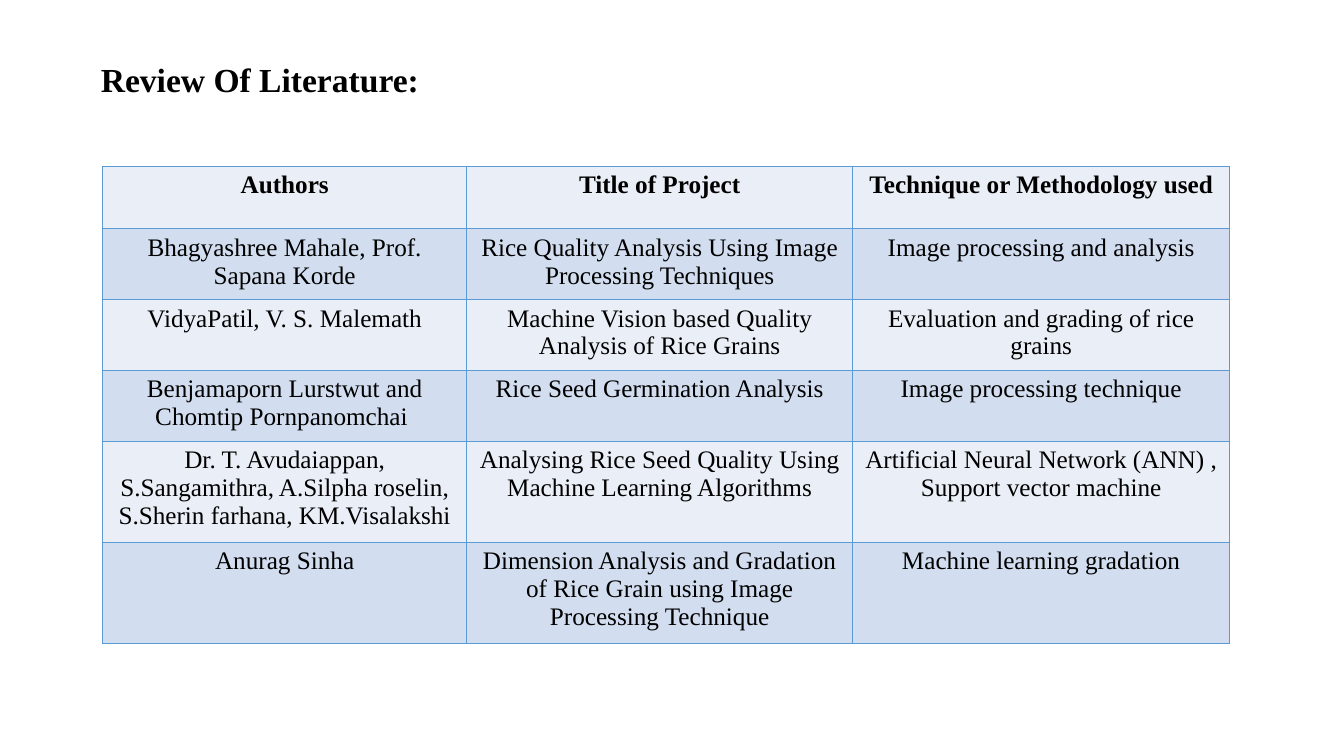
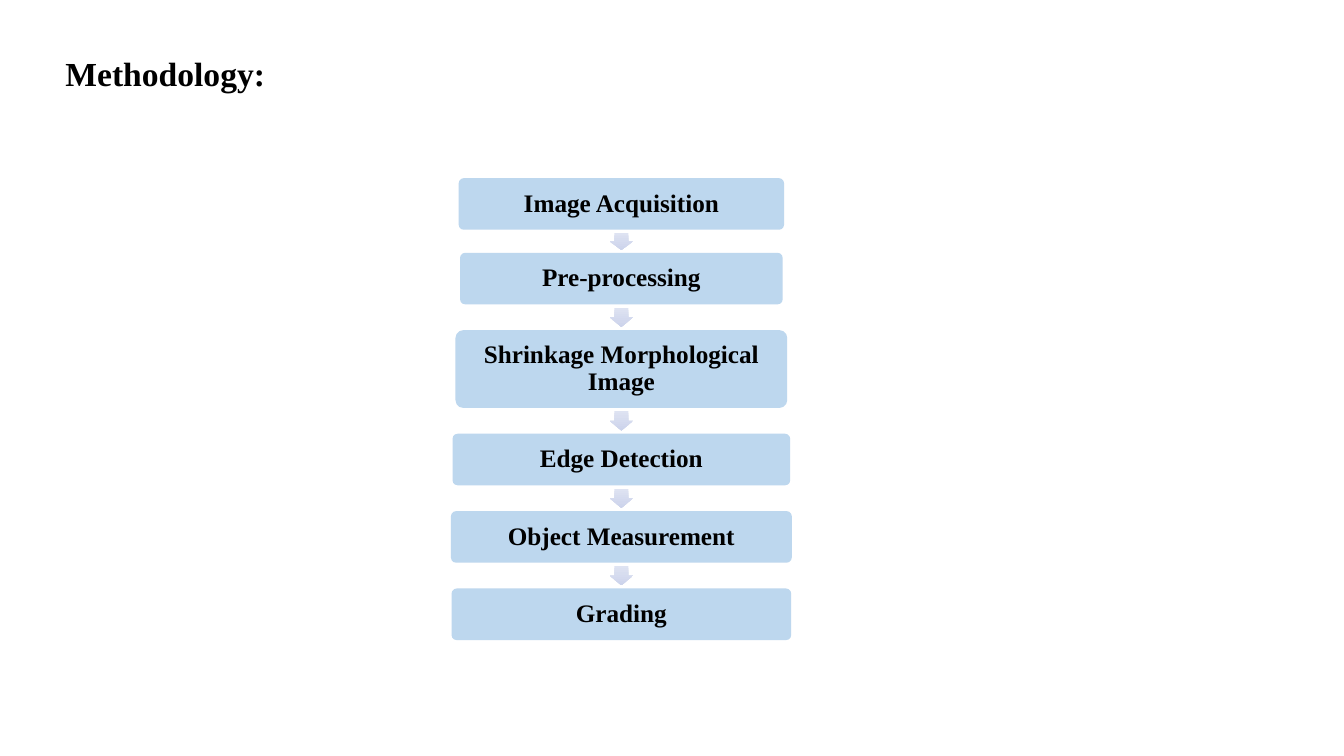
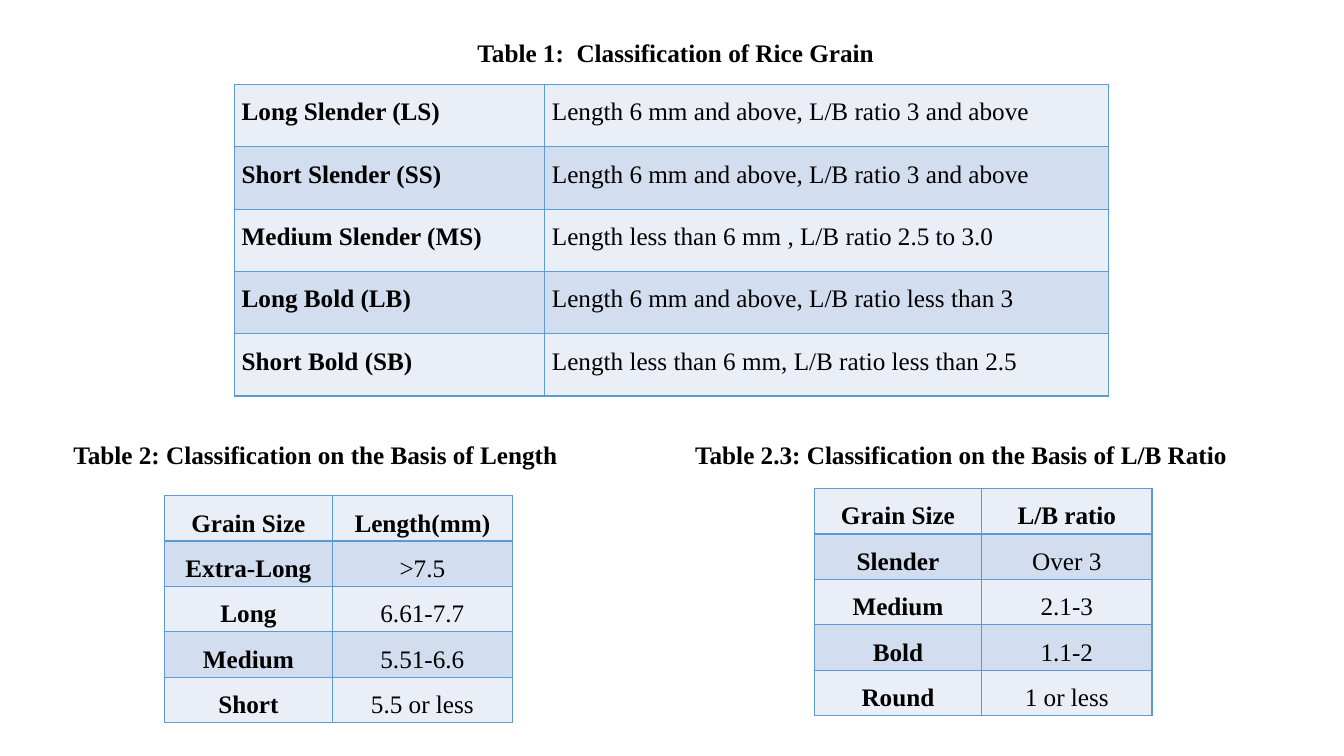
from collections import namedtuple

from lxml.etree import SubElement
from pptx import Presentation
from pptx.dml.color import RGBColor
from pptx.enum.shapes import MSO_SHAPE
from pptx.enum.text import MSO_ANCHOR, PP_ALIGN
from pptx.oxml.ns import qn
from pptx.util import Cm, Pt

BLACK = RGBColor(0x00, 0x00, 0x00)
BORDER = RGBColor(0x5B, 0x9B, 0xD5)
BANDS = (RGBColor(0xEA, 0xEF, 0xF7), RGBColor(0xD2, 0xDE, 0xEF))
STEP_FILL = RGBColor(0xBD, 0xD7, 0xEE)
ARROW_LIGHT = RGBColor(0xDE, 0xE3, 0xF2)
ARROW_DARK = RGBColor(0xCC, 0xD3, 0xEB)

BODY = {"name": "Times New Roman", "size": Pt(18), "bold": False}
STRONG = {**BODY, "bold": True}
TITLE = {**STRONG, "size": Pt(24)}

# Lengths in centimetres
Box = namedtuple("Box", "left top width height")

LITERATURE = (
    ("Authors", "Title of Project", "Technique or Methodology used"),
    ("Bhagyashree Mahale, Prof. Sapana Korde",
     "Rice Quality Analysis Using Image Processing Techniques",
     "Image processing and analysis"),
    ("VidyaPatil, V. S. Malemath",
     "Machine Vision based Quality Analysis of Rice Grains",
     "Evaluation and grading of rice grains"),
    ("Benjamaporn Lurstwut and Chomtip Pornpanomchai ",
     "Rice Seed Germination Analysis",
     "Image processing technique"),
    ("Dr. T. Avudaiappan, S.Sangamithra, A.Silpha roselin, "
     "S.Sherin farhana, KM.Visalakshi",
     "Analysing Rice Seed Quality Using Machine Learning Algorithms",
     "Artificial Neural Network (ANN) , Support vector machine"),
    ("Anurag Sinha",
     "Dimension Analysis and Gradation of Rice Grain using Image "
     "Processing Technique",
     "Machine learning gradation"),
)

# Label, box width, box height, gap above
STEPS = (
    ("Image Acquisition", 8.2, 1.3, 0),
    ("Pre-processing", 8.13, 1.3, 0.58),
    ("Shrinkage Morphological Image", 8.36, 1.96, 0.65),
    ("Edge Detection", 8.51, 1.3, 0.65),
    ("Object Measurement", 8.59, 1.3, 0.65),
    ("Grading", 8.56, 1.3, 0.65),
)

GRAIN_TYPES = (
    ("Long Slender (LS)", "Length 6 mm and above, L/B ratio 3 and above"),
    ("Short Slender (SS)", "Length 6 mm and above, L/B ratio 3 and above"),
    ("Medium Slender (MS)", "Length less than 6 mm , L/B ratio 2.5 to 3.0"),
    ("Long Bold (LB)", "Length 6 mm and above, L/B ratio less than 3"),
    ("Short Bold (SB)", "Length less than 6 mm, L/B ratio less than 2.5"),
)
GRAIN_LENGTHS = (
    ("Grain Size", "Length(mm)"),
    ("Extra-Long", ">7.5"),
    ("Long", "6.61-7.7"),
    ("Medium", "5.51-6.6"),
    ("Short", "5.5 or less"),
)
GRAIN_RATIOS = (
    ("Grain Size", "L/B ratio"),
    ("Slender", "Over 3"),
    ("Medium", "2.1-3"),
    ("Bold", "1.1-2"),
    ("Round", "1 or less"),
)


def write(frame, text, font, align=PP_ALIGN.LEFT, spacing=1.0):
    frame.word_wrap = True
    para = frame.paragraphs[0]
    para.alignment = align
    para.line_spacing = spacing
    span = para.add_run()
    span.text = text
    for name, value in font.items():
        setattr(span.font, name, value)
    span.font.color.rgb = BLACK


def add_text(page, box, text, font, align=PP_ALIGN.LEFT):
    label = page.shapes.add_textbox(*map(Cm, box))
    write(label.text_frame, text, font, align)


def add_borders(cell):
    """Draw the four cell edges, which must precede the fill in the XML."""
    properties = cell._tc.get_or_add_tcPr()
    for position, side in enumerate(("lnL", "lnR", "lnT", "lnB")):
        line = SubElement(properties, qn("a:" + side), w=str(Pt(1)))
        fill = SubElement(line, qn("a:solidFill"))
        SubElement(fill, qn("a:srgbClr"), val=str(BORDER))
        properties.insert(position, line)


def add_banded_table(page, left, top, widths, heights, rows, margins,
                     align=PP_ALIGN.CENTER, spacing=1.0,
                     bold_head=True, bold_names=True):
    """Margins are the side and the top-and-bottom insets of each cell."""
    box = Box(left, top, sum(widths), sum(heights))
    table = page.shapes.add_table(
        len(rows), len(widths), *map(Cm, box)).table
    table.first_row = table.horz_banding = False
    for column, width in zip(table.columns, widths):
        column.width = Cm(width)
    for row, height in zip(table.rows, heights):
        row.height = Cm(height)
    side, edge = map(Cm, margins)
    insets = {"margin_left": side, "margin_right": side,
              "margin_top": edge, "margin_bottom": edge}
    for r, texts in enumerate(rows):
        for c, text in enumerate(texts):
            cell = table.cell(r, c)
            for name, value in insets.items():
                setattr(cell, name, value)
            cell.fill.solid()
            cell.fill.fore_color.rgb = BANDS[r % 2]
            add_borders(cell)
            strong = (bold_head and r == 0) or (bold_names and c == 0)
            write(cell.text_frame, text, STRONG if strong else BODY,
                  align, spacing)


def add_plain_shape(page, kind, box, adjustments):
    shape = page.shapes.add_shape(kind, *map(Cm, box))
    shape.shadow.inherit = False
    shape.line.fill.background()
    for index, value in enumerate(adjustments):
        shape.adjustments[index] = value
    return shape


def add_step(page, box, label):
    step = add_plain_shape(page, MSO_SHAPE.ROUNDED_RECTANGLE, box, (0.1,))
    step.fill.solid()
    step.fill.fore_color.rgb = STEP_FILL
    frame = step.text_frame
    frame.vertical_anchor = MSO_ANCHOR.MIDDLE
    write(frame, label, STRONG, PP_ALIGN.CENTER, 0.9)


def add_step_arrow(page, center, top, gap):
    """Centre a down arrow in the gap that starts at top."""
    width, height = 0.59, gap * 0.75
    box = Box(center - width / 2, top + (gap - height) / 2, width, height)
    arrow = add_plain_shape(page, MSO_SHAPE.DOWN_ARROW, box, (0.6, 0.5))
    arrow.fill.gradient()
    arrow.fill.gradient_angle = 270
    for stop, color in zip(arrow.fill.gradient_stops,
                           (ARROW_LIGHT, ARROW_DARK)):
        stop.color.rgb = color


def add_flow(page, center, top):
    for label, width, height, gap in STEPS:
        if gap:
            add_step_arrow(page, center, top, gap)
        top += gap
        add_step(page, Box(center - width / 2, top, width, height), label)
        top += height


def literature_slide(page):
    add_text(page, Box(2.29, 1.35, 27.23, 1.2), "Review Of Literature:", TITLE)
    add_banded_table(page, 2.59, 4.19, (9.17, 9.73, 9.5),
                     (1.57, 1.78, 1.78, 1.78, 2.55, 2.55), LITERATURE,
                     (0.25, 0.13), bold_names=False)


def methodology_slide(page):
    add_text(page, Box(1.4, 1.2, 30.28, 1.2), "Methodology:", TITLE)
    add_flow(page, 15.66, 4.49)


def classification_slide(page):
    add_text(page, Box(1.27, 0.81, 31.52, 1.02),
             "Table 1:  Classification of Rice Grain", STRONG,
             PP_ALIGN.CENTER)
    tight = {"margins": (0.19, 0), "spacing": 1.5}
    add_banded_table(page, 5.9, 2.13, (7.82, 14.22), (1.57,) * 5, GRAIN_TYPES,
                     align=PP_ALIGN.JUSTIFY, bold_head=False, **tight)
    captions = (
        (1.6, "Table 2: Classification on the Basis of Length"),
        (17.27, "Table 2.3: Classification on the Basis of L/B Ratio"),
    )
    for left, caption in captions:
        add_text(page, Box(left, 10.95, 15, 1.02), caption, STRONG)
    small_tables = (
        (4.15, 12.49, (4.22, 4.55), GRAIN_LENGTHS),
        (20.52, 12.31, (4.22, 4.29), GRAIN_RATIOS),
    )
    for left, top, widths, rows in small_tables:
        add_banded_table(page, left, top, widths, (1.05,) * 5, rows, **tight)


def main():
    deck = Presentation()
    deck.slide_width, deck.slide_height = Cm(33.87), Cm(19.05)
    for build in (literature_slide, methodology_slide, classification_slide):
        build(deck.slides.add_slide(deck.slide_layouts[6]))
    deck.save("out.pptx")


if __name__ == "__main__":
    main()
